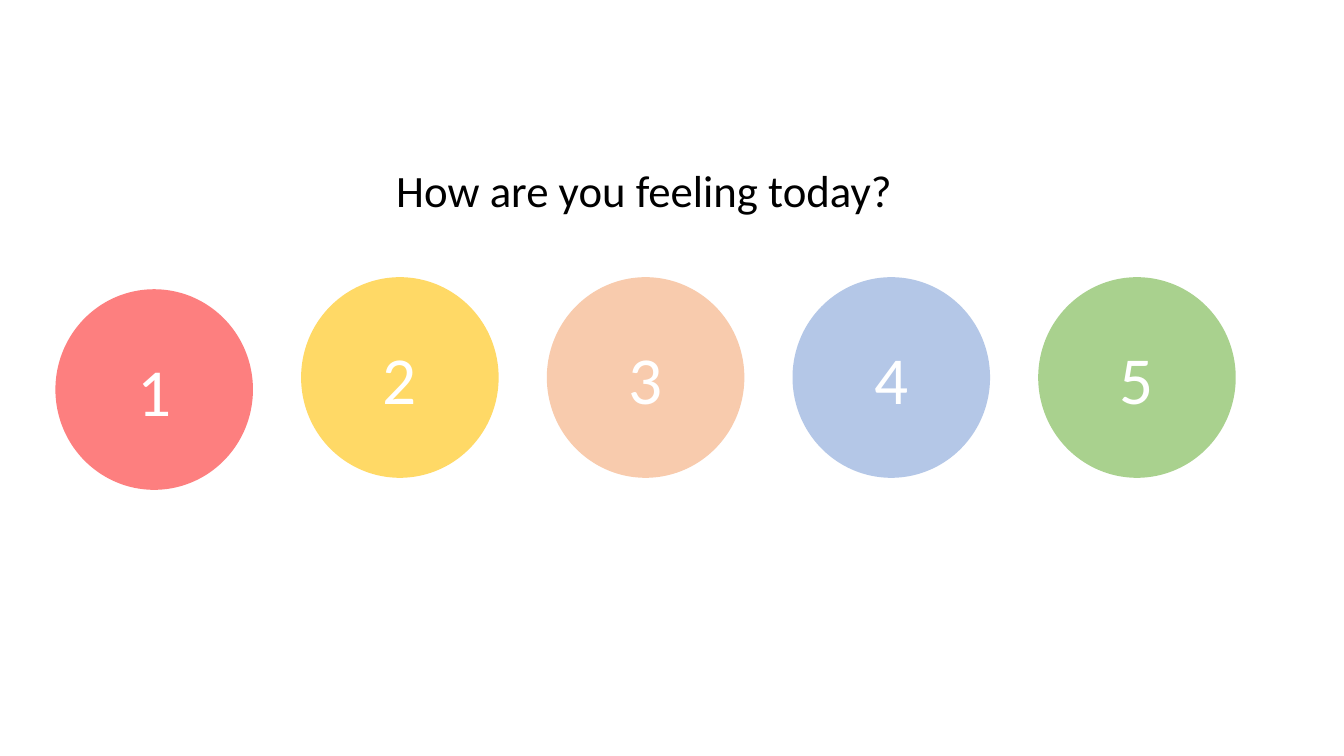
from dataclasses import dataclass

import pptx
import pptx.dml.color
import pptx.enum.shapes
import pptx.enum.text
import pptx.util

Pt = pptx.util.Pt
ALIGN = pptx.enum.text.PP_ALIGN
ANCHOR = pptx.enum.text.MSO_ANCHOR

FIRST_LEFT, STEP = 39.6, 175.5
ROW_TOP = 198
CIRCLE_WIDTH, CIRCLE_HEIGHT = 141.1, 143.3


@dataclass
class Rating:
    score: str
    color: str
    drop: float = 0  # distance below the row


RATINGS = [
    Rating("1", "FD7F7F", drop=8.6),
    Rating("2", "FFD966"),
    Rating("3", "F8CBAD"),
    Rating("4", "B4C7E7"),
    Rating("5", "A9D18E"),
]


def rgb(color: str) -> pptx.dml.color.RGBColor:
    return pptx.dml.color.RGBColor.from_string(color)


def apply_format(target, values: dict) -> None:
    for name, value in values.items():
        setattr(target, name, value)


def write_text(shape, text: str, size: float, color: str, align, anchor) -> None:
    frame = shape.text_frame
    frame.text = text
    apply_format(frame, {
        "word_wrap": True,
        "auto_size": pptx.enum.text.MSO_AUTO_SIZE.NONE,
        "vertical_anchor": anchor,
    })
    paragraph = frame.paragraphs[0]
    paragraph.alignment = align
    font = paragraph.runs[0].font
    apply_format(font, {"name": "Calibri", "size": Pt(size)})
    font.color.rgb = rgb(color)


def draw_rating(slide, index: int, rating: Rating) -> None:
    circle = slide.shapes.add_shape(
        pptx.enum.shapes.MSO_SHAPE.OVAL,
        Pt(FIRST_LEFT + index * STEP), Pt(ROW_TOP + rating.drop),
        Pt(CIRCLE_WIDTH), Pt(CIRCLE_HEIGHT))
    circle.shadow.inherit = False
    circle.fill.solid()
    circle.fill.fore_color.rgb = rgb(rating.color)
    circle.line.fill.background()
    write_text(circle, rating.score, 48, "FFFFFF", ALIGN.CENTER, ANCHOR.MIDDLE)


def main() -> None:
    deck = pptx.Presentation()
    apply_format(deck, {"slide_width": Pt(960), "slide_height": Pt(540)})
    slide = deck.slides.add_slide(deck.slide_layouts.get_by_name("Title Only"))

    # Background
    slide.background.fill.solid()
    slide.background.fill.fore_color.rgb = rgb("FFFFFF")

    # Question
    question = slide.shapes.title
    apply_format(question, {
        "left": Pt(275.8), "top": Pt(112.3),
        "width": Pt(403.9), "height": Pt(46.1),
    })
    write_text(question, "How are you feeling today?", 32, "000000",
               ALIGN.LEFT, ANCHOR.TOP)

    # Rating scale
    for index, rating in enumerate(RATINGS):
        draw_rating(slide, index, rating)

    deck.save("out.pptx")


if __name__ == "__main__":
    main()
